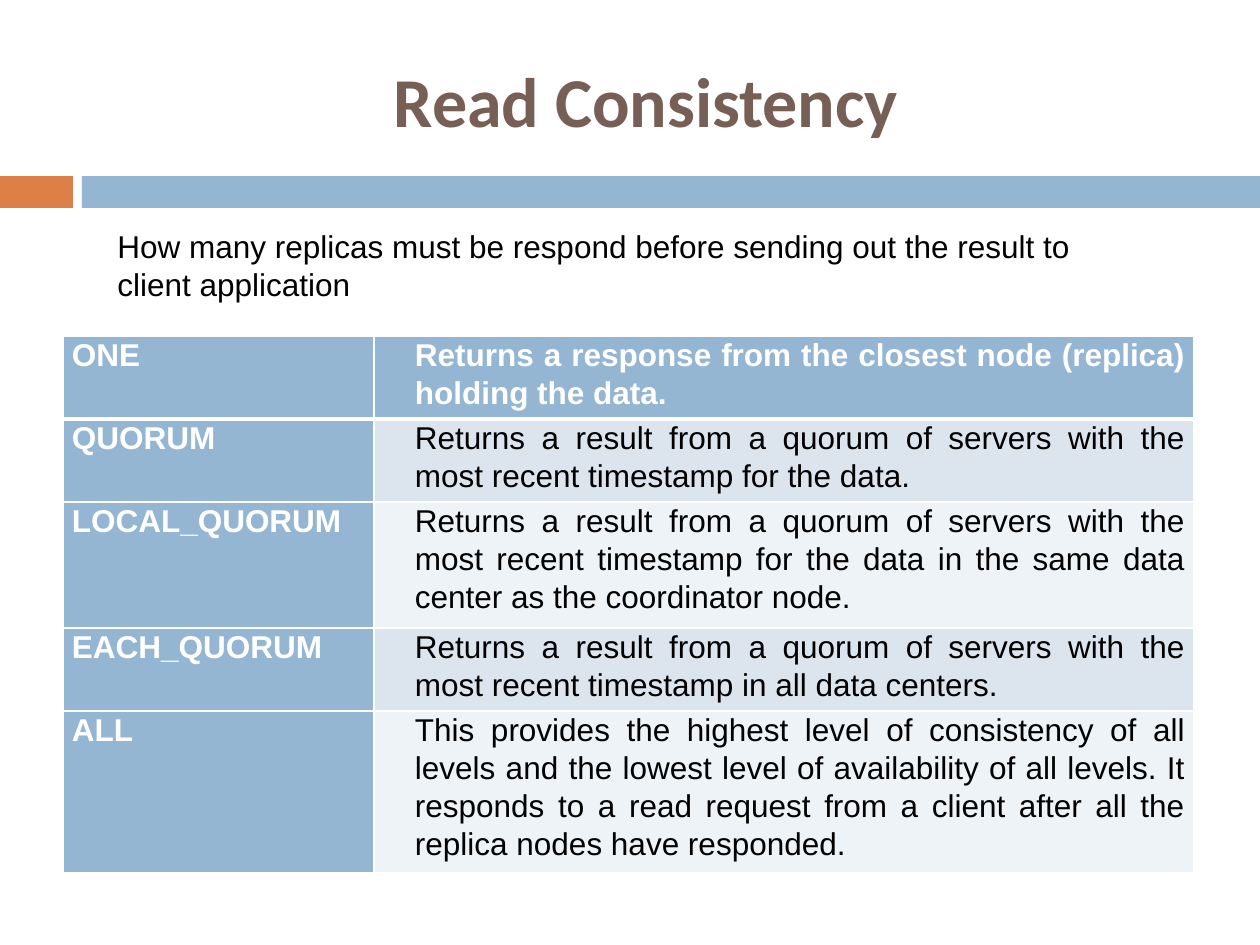
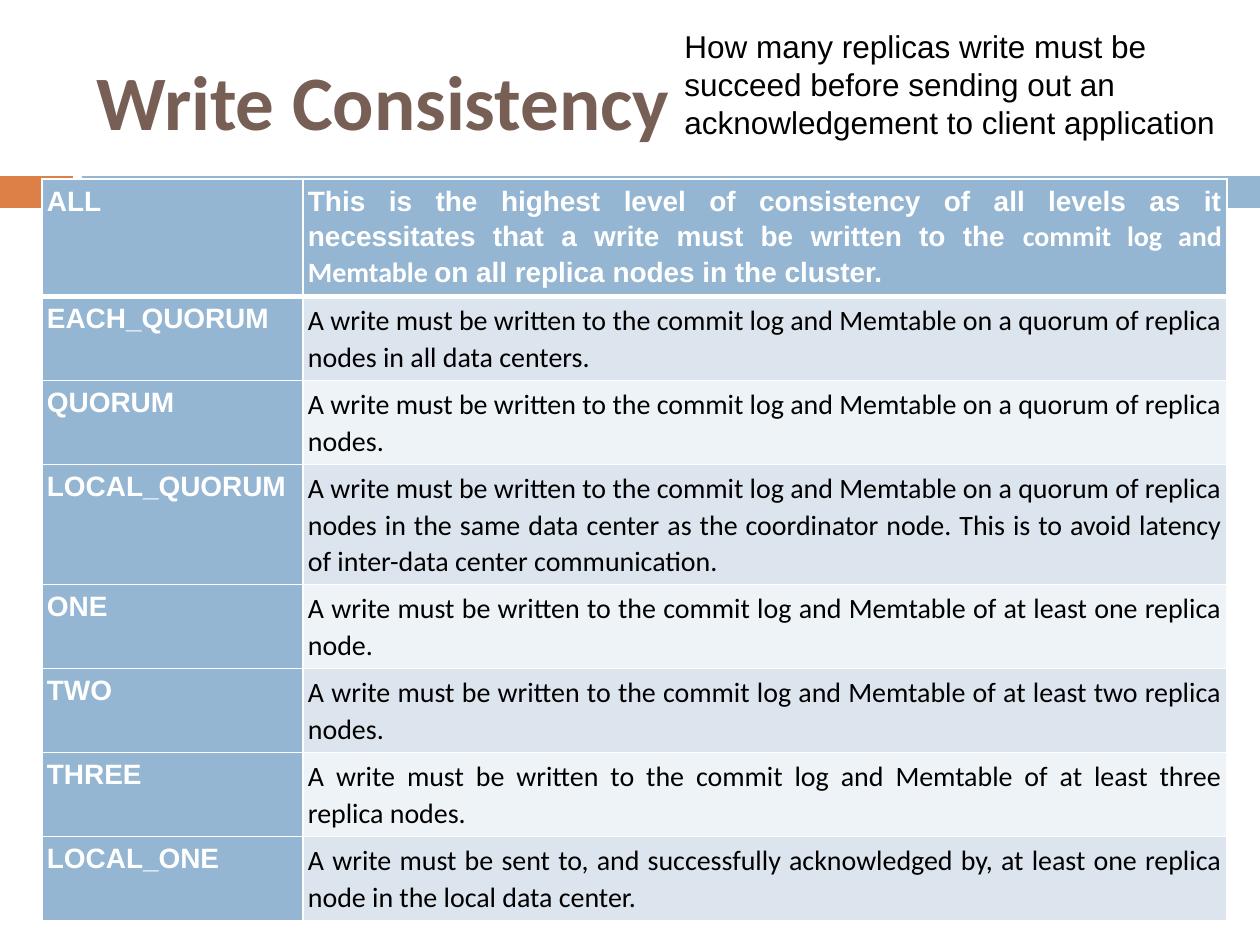
from lxml import etree
from pptx import Presentation
from pptx.dml.color import RGBColor
from pptx.enum.shapes import MSO_SHAPE as Shape
from pptx.enum.text import MSO_ANCHOR as Anchor, PP_ALIGN as Align
from pptx.oxml import parse_xml
from pptx.oxml.ns import nsdecls
from pptx.util import Pt

EMU_PER_PX = 914400 / 126
COLORS = {
    "title": "775F55",
    "accent": "DD8047",
    "band": "94B6D2",
    "odd_row": "DCE5EE",
    "even_row": "EEF3F7",
    "text": "000000",
    "white": "FFFFFF",
}
BODY_FONT = "Arial"
TITLE_FONT = "Calibri"


def px(length):
    return round(length * EMU_PER_PX)


def color(name):
    return RGBColor.from_string(COLORS[name])


def write(frame, text, size=18, font=BODY_FONT, ink="text", bold=False,
          align=Align.LEFT, spacing=None, indent=0):
    """Fill a text frame; text is a string or a list of (string, font) spans."""
    para = frame.paragraphs[0]
    if indent:
        properties = para._p.get_or_add_pPr()
        properties.set("marL", str(px(indent)))
        properties.set("indent", "0")
    para.alignment = align
    if spacing:
        para.line_spacing = spacing
    spans = [(text, font)] if isinstance(text, str) else text
    for words, face in spans:
        span = para.add_run()
        span.text = words
        span.font.name = face
        span.font.size = Pt(size)
        span.font.bold = bold
        span.font.color.rgb = color(ink)


def set_borders(cell, **widths):
    """Draw white cell edges; widths in points are keyed L, R, T and B."""
    properties = cell._tc.get_or_add_tcPr()
    for index, (side, width) in enumerate(widths.items()):
        line = parse_xml(f'<a:ln{side} {nsdecls("a")} w="{Pt(width)}"/>')
        fill = etree.SubElement(line, line.tag.replace(f"ln{side}", "solidFill"))
        etree.SubElement(fill, fill.tag.replace("solidFill", "srgbClr"),
                         val=COLORS["white"])
        properties.insert(index, line)


class ConsistencyDeck:
    def __init__(self):
        self.deck = Presentation()
        self.deck.slide_width = px(1260)
        self.deck.slide_height = px(945)
        self.page = None

    def add_page(self, title, size, align):
        self.page = self.deck.slides.add_slide(self.deck.slide_layouts[6])
        self.add_band(0, 73, "accent")
        self.add_band(82, 1178, "band")
        self.add_text(title, 84, 32, 1124, 136, anchor=Anchor.MIDDLE, size=size,
                      font=TITLE_FONT, ink="title", bold=True, align=align)

    def add_band(self, left, width, fill):
        band = self.page.shapes.add_shape(
            Shape.RECTANGLE, px(left), px(176), px(width), px(32))
        band.shadow.inherit = False
        band.fill.solid()
        band.fill.fore_color.rgb = color(fill)
        band.line.fill.background()

    def add_text(self, text, left, top, width, height, anchor=Anchor.TOP, **style):
        box = self.page.shapes.add_textbox(px(left), px(top), px(width), px(height))
        box.text_frame.word_wrap = True
        box.text_frame.vertical_anchor = anchor
        write(box.text_frame, text, **style)

    def add_levels(self, levels, left, top, widths, heights, margins, size,
                   font=BODY_FONT, indent=0):
        """Add a table of level names and meanings, the first row as its header."""
        frame = self.page.shapes.add_table(
            len(levels), 2, px(left), px(top), px(sum(widths)), px(sum(heights)))
        table = frame.table
        table.horz_banding = False
        for column, width in zip(table.columns, widths):
            column.width = px(width)
        for index, (level, height) in enumerate(zip(levels, heights)):
            table.rows[index].height = px(height)
            stripe = "odd_row" if index % 2 else "even_row"
            for side, text in enumerate(level):
                cell = table.cell(index, side)
                strong = index == 0 or side == 0
                cell.margin_left = cell.margin_right = px(margins[0])
                cell.margin_top = cell.margin_bottom = px(margins[1])
                cell.fill.solid()
                cell.fill.fore_color.rgb = color("band" if strong else stripe)
                set_borders(cell, L=1, R=1, T=3 if index == 1 else 1,
                            B=3 if index == 0 else 1)
                write(cell.text_frame, text, size=size,
                      font=BODY_FONT if strong else font,
                      ink="white" if strong else "text", bold=strong,
                      align=Align.JUSTIFY if side else Align.LEFT,
                      spacing=1.07, indent=indent if side else 0)


QUORUM_READ = "Returns a result from a quorum of servers with the most recent timestamp"
READ_LEVELS = [
    ("ONE", "Returns a response from the closest node (replica) holding the data."),
    ("QUORUM", f"{QUORUM_READ} for the data."),
    ("LOCAL_QUORUM", f"{QUORUM_READ} for the data in the same data center as the "
                     "coordinator node."),
    ("EACH_QUORUM", f"{QUORUM_READ} in all data centers."),
    ("ALL", "This provides the highest level of consistency of all levels and the "
            "lowest level of availability of all levels. It responds to a read request "
            "from a client after all the replica nodes have responded."),
]

LOG_WRITE = "A write must be written to the commit log and Memtable"
QUORUM_WRITE = f"{LOG_WRITE} on a quorum of replica nodes"
WRITE_LEVELS = [
    ("ALL", [
        ("This is the highest level of consistency of all levels as it necessitates "
         "that a write must be written to the ", BODY_FONT),
        ("commit log and Memtable ", TITLE_FONT),
        ("on all replica nodes in the cluster.", BODY_FONT),
    ]),
    ("EACH_QUORUM", f"{QUORUM_WRITE} in all data centers."),
    ("QUORUM", f"{QUORUM_WRITE}."),
    ("LOCAL_QUORUM", f"{QUORUM_WRITE} in the same data center as the coordinator node. "
                     "This is to avoid latency of inter-data center communication."),
    ("ONE", f"{LOG_WRITE} of at least one replica node."),
    ("TWO", f"{LOG_WRITE} of at least two replica nodes."),
    ("THREE", f"{LOG_WRITE} of at least three replica nodes."),
    ("LOCAL_ONE", "A write must be sent to, and successfully acknowledged by, at least "
                  "one replica node in the local data center."),
]


def main():
    show = ConsistencyDeck()

    show.add_page("Read Consistency", size=40, align=Align.CENTER)
    show.add_levels(READ_LEVELS, 63, 336, widths=(311, 820),
                    heights=(83, 83, 126, 83, 150), margins=(9, 0), size=18, indent=32)
    show.add_text("How many replicas must be respond before sending out the result to "
                  "client application", 105, 221, 1040, 89)

    show.add_page("Write Consistency", size=44, align=Align.LEFT)
    show.add_levels(WRITE_LEVELS, 42, 179, widths=(261, 924),
                    heights=(116, 84, 84, 120, 84, 84, 84, 84), margins=(5, 5),
                    size=16, font=TITLE_FONT)
    show.add_text("How many replicas write must be succeed before sending out an "
                  "acknowledgement to client application", 672, 21, 557, 127)

    show.deck.save("out.pptx")


if __name__ == "__main__":
    main()
